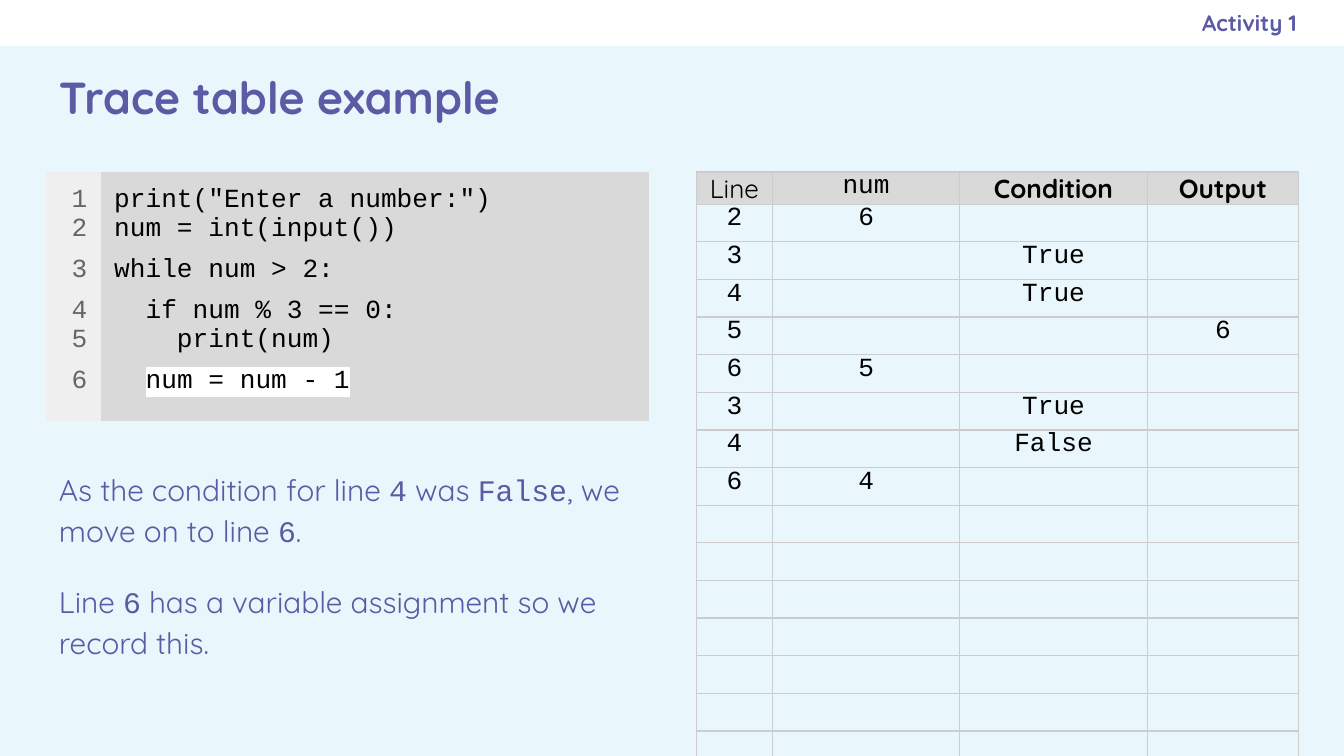
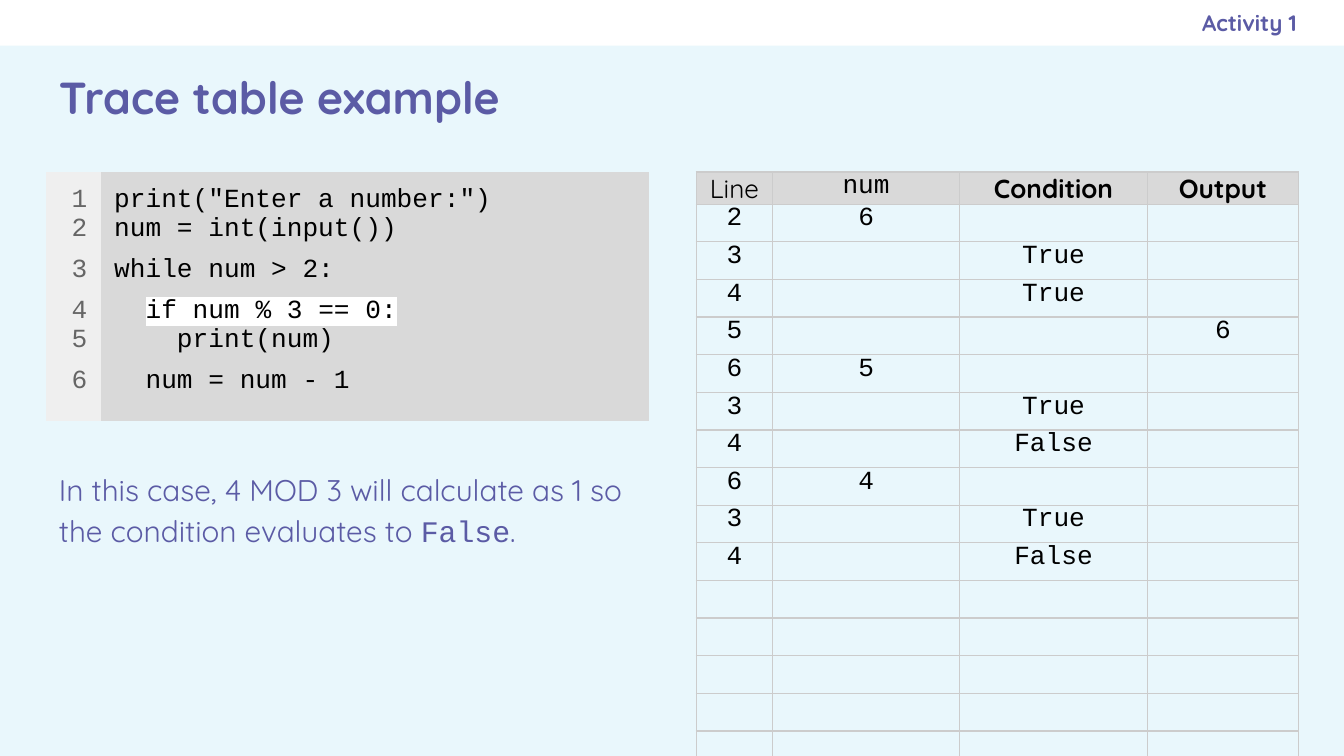
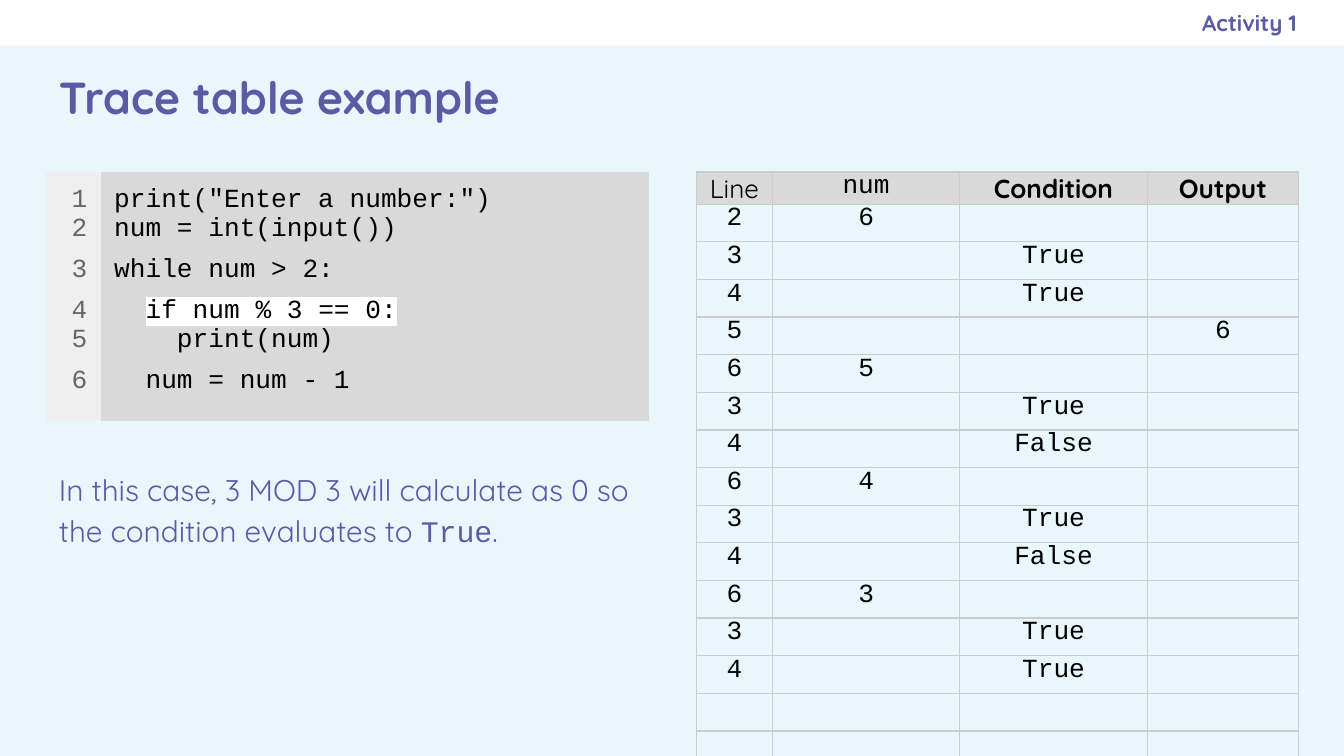
from typing import NamedTuple

from lxml.etree import SubElement
from pptx import Presentation
from pptx.dml.color import RGBColor
from pptx.enum.shapes import MSO_SHAPE as Shape
from pptx.enum.text import MSO_ANCHOR as Anchor, PP_ALIGN as Align
from pptx.oxml import parse_xml
from pptx.oxml.ns import nsdecls, qn
from pptx.slide import Slide
from pptx.table import Table, _Cell as Cell
from pptx.text.text import TextFrame, _Paragraph as Para
from pptx.util import Inches, Pt

PALE = RGBColor(0xE9, 0xF7, 0xFC)
WHITE = RGBColor(0xFF, 0xFF, 0xFF)
PURPLE = RGBColor(0x5B, 0x5B, 0xA5)
BLACK = RGBColor(0, 0, 0)
GREY = RGBColor(0xD9, 0xD9, 0xD9)
LIGHT = RGBColor(0xEF, 0xEF, 0xEF)
DIM = RGBColor(0x66, 0x66, 0x66)
RULE = RGBColor(0xCC, 0xCC, 0xCC)

SANS = "Quicksand"
MONO = "Courier New"
PLAIN = "{2D5ABB26-0587-4C30-8999-92F81FD0307C}"

CODE = (
    'print("Enter a number:")',
    "num = int(input())",
    "while num > 2:",
    "  if num % 3 == 0:",
    "    print(num)",
    "  num = num - 1",
)
SPACED = (3, 4, 6)


class Box(NamedTuple):
    left: float
    top: float
    width: float
    height: float


class Label(NamedTuple):
    text: str
    box: Box
    size: int
    align: Align
    right: float


class Head(NamedTuple):
    text: str
    width: float
    face: str
    bold: bool


class Step(NamedTuple):
    line: str
    num: str = ""
    cond: str = ""
    out: str = ""


class Page(NamedTuple):
    active: int
    steps: int
    notes: tuple[str, ...]


BAND = Box(0, 0, 10, 0.34)
BODY = Box(0.34, 3.37, 4.48, 1.87)
LABELS = (
    Label("Trace table example", Box(0.34, 0.34, 9.32, 0.76), 24, Align.LEFT, 0.1),
    Label("Activity 1", Box(5.75, 0, 3.9, 0.34), 12, Align.RIGHT, 0),
)
HEADS = (
    Head("Line", 0.57, SANS, False),
    Head("num", 1.39, MONO, False),
    Head("Condition", 1.4, SANS, True),
    Head("Output", 1.12, SANS, True),
)
STEPS = (
    Step("2", num="6"),
    Step("3", cond="True"),
    Step("4", cond="True"),
    Step("5", out="6"),
    Step("6", num="5"),
    Step("3", cond="True"),
    Step("4", cond="False"),
    Step("6", num="4"),
    Step("3", cond="True"),
    Step("4", cond="False"),
    Step("6", num="3"),
    Step("3", cond="True"),
    Step("4", cond="True"),
)
TOTAL = 16
PAGES = (
    Page(6, 8, (
        "As the condition for line `4` was `False`, we move on to line `6`.",
        "Line `6` has a variable assignment so we record this.",
    )),
    Page(4, 10, (
        "In this case, 4 MOD 3 will calculate as 1 so the condition evaluates to `False`.",
    )),
    Page(4, 13, (
        "In this case, 3 MOD 3 will calculate as 0 so the condition evaluates to `True`.",
    )),
)


def style(para: Para, size: int, color: RGBColor, face: str = "", bold: bool = False) -> None:
    font = para.font
    font.size = Pt(size)
    font.color.rgb = color
    font.bold = bold
    if face:
        font.name = face


def end_para(para: Para, face: str) -> None:
    props = SubElement(para._p, qn("a:endParaRPr"), sz="1400")
    SubElement(props, qn("a:latin"), typeface=face)


def pad(area: TextFrame | Cell, inset: float) -> None:
    area.margin_left = area.margin_right = Inches(inset)
    area.margin_top = area.margin_bottom = Inches(inset)


def next_para(frame: TextFrame, index: int) -> Para:
    return frame.add_paragraph() if index else frame.paragraphs[0]


def add_frame(slide: Slide, box: Box) -> TextFrame:
    frame = slide.shapes.add_textbox(*map(Inches, box)).text_frame
    frame.word_wrap = True
    pad(frame, 0.1)
    return frame


def add_label(slide: Slide, label: Label) -> None:
    frame = add_frame(slide, label.box)
    frame.margin_right = Inches(label.right)
    frame.vertical_anchor = Anchor.MIDDLE
    para = frame.paragraphs[0]
    para.text = label.text
    para.alignment = label.align
    style(para, label.size, PURPLE, SANS, True)


def add_notes(slide: Slide, notes: tuple[str, ...]) -> None:
    frame = add_frame(slide, BODY)
    for index, note in enumerate(notes):
        para = next_para(frame, index)
        para.line_spacing = 1.15
        if index:
            para.space_before = para.space_after = Pt(16)
        style(para, 16, PURPLE)
        for part, text in enumerate(note.split("`")):
            run = para.add_run()
            run.text = text
            run.font.name = MONO if part % 2 else SANS


def add_grid(slide: Slide, left: float, widths: list[float], heights: list[float]) -> Table:
    box = Box(left, 1.28, sum(widths), sum(heights))
    grid = slide.shapes.add_table(len(heights), len(widths), *map(Inches, box)).table
    grid.first_row = grid.horz_banding = False
    grid._tbl.tblPr.find(qn("a:tableStyleId")).text = PLAIN
    for column, width in zip(grid.columns, widths):
        column.width = Inches(width)
    for row, height in zip(grid.rows, heights):
        row.height = Inches(height)
    return grid


def add_rules(cell: Cell) -> None:
    props = cell._tc.get_or_add_tcPr()
    for index, side in enumerate("LRTB"):
        props.insert(index, parse_xml(
            f'<a:ln{side} {nsdecls("a")} w="{Pt(0.75)}"><a:solidFill>'
            f'<a:srgbClr val="{RULE}"/></a:solidFill></a:ln{side}>'
        ))


def fill_cell(cell: Cell, text: str, face: str, bold: bool = False) -> None:
    pad(cell, 0)
    para = cell.text_frame.paragraphs[0]
    para.alignment = Align.CENTER
    if text:
        para.text = text
        style(para, 14, BLACK, face, bold)
    end_para(para, face)
    add_rules(cell)


def add_trace(slide: Slide, count: int) -> None:
    widths = [head.width for head in HEADS]
    grid = add_grid(slide, 5.18, widths, [0.24] + [0.28] * TOTAL)
    for col, head in enumerate(HEADS):
        cell = grid.cell(0, col)
        cell.fill.solid()
        cell.fill.fore_color.rgb = GREY
        fill_cell(cell, head.text, head.face, head.bold)
    steps = STEPS[:count] + (Step(""),) * (TOTAL - count)
    for row, step in enumerate(steps, 1):
        for col, text in enumerate(step):
            cell = grid.cell(row, col)
            cell.fill.background()
            fill_cell(cell, text, MONO)


def add_line(para: Para, text: str, active: bool) -> None:
    bare = text.lstrip() if active else text
    lead = text[:len(text) - len(bare)]
    if lead:
        para.add_run().text = lead
    run = para.add_run()
    run.text = bare
    if active:
        mark = SubElement(run._r.get_or_add_rPr(), qn("a:highlight"))
        SubElement(mark, qn("a:srgbClr"), val=str(WHITE))
    end_para(para, MONO)


def add_code(slide: Slide, active: int) -> None:
    grid = add_grid(slide, 0.34, [0.41, 4.08], [0.43])
    cells = grid.cell(0, 0), grid.cell(0, 1)
    inks = (DIM, BLACK)
    for cell, color in zip(cells, (LIGHT, GREY)):
        pad(cell, 0.1)
        cell.fill.solid()
        cell.fill.fore_color.rgb = color
    for number, text in enumerate(CODE, 1):
        paras = [next_para(cell.text_frame, number - 1) for cell in cells]
        for para, ink in zip(paras, inks):
            if number in SPACED:
                para.space_before = Pt(6)
            style(para, 14, ink, MONO)
        paras[0].alignment = Align.RIGHT
        add_line(paras[0], str(number), False)
        add_line(paras[1], text, number == active)


def add_band(slide: Slide) -> None:
    band = slide.shapes.add_shape(Shape.RECTANGLE, *map(Inches, BAND))
    band.shadow.inherit = False
    band.fill.solid()
    band.fill.fore_color.rgb = WHITE
    band.line.fill.background()


def main() -> None:
    deck = Presentation()
    deck.slide_width = Inches(10)
    deck.slide_height = deck.slide_width * 9 // 16
    back = deck.slide_master.background.fill
    back.solid()
    back.fore_color.rgb = PALE
    for page in PAGES:
        slide = deck.slides.add_slide(deck.slide_layouts[6])
        add_band(slide)
        for label in LABELS:
            add_label(slide, label)
        add_trace(slide, page.steps)
        add_code(slide, page.active)
        add_notes(slide, page.notes)
    deck.save("out.pptx")


if __name__ == "__main__":
    main()
